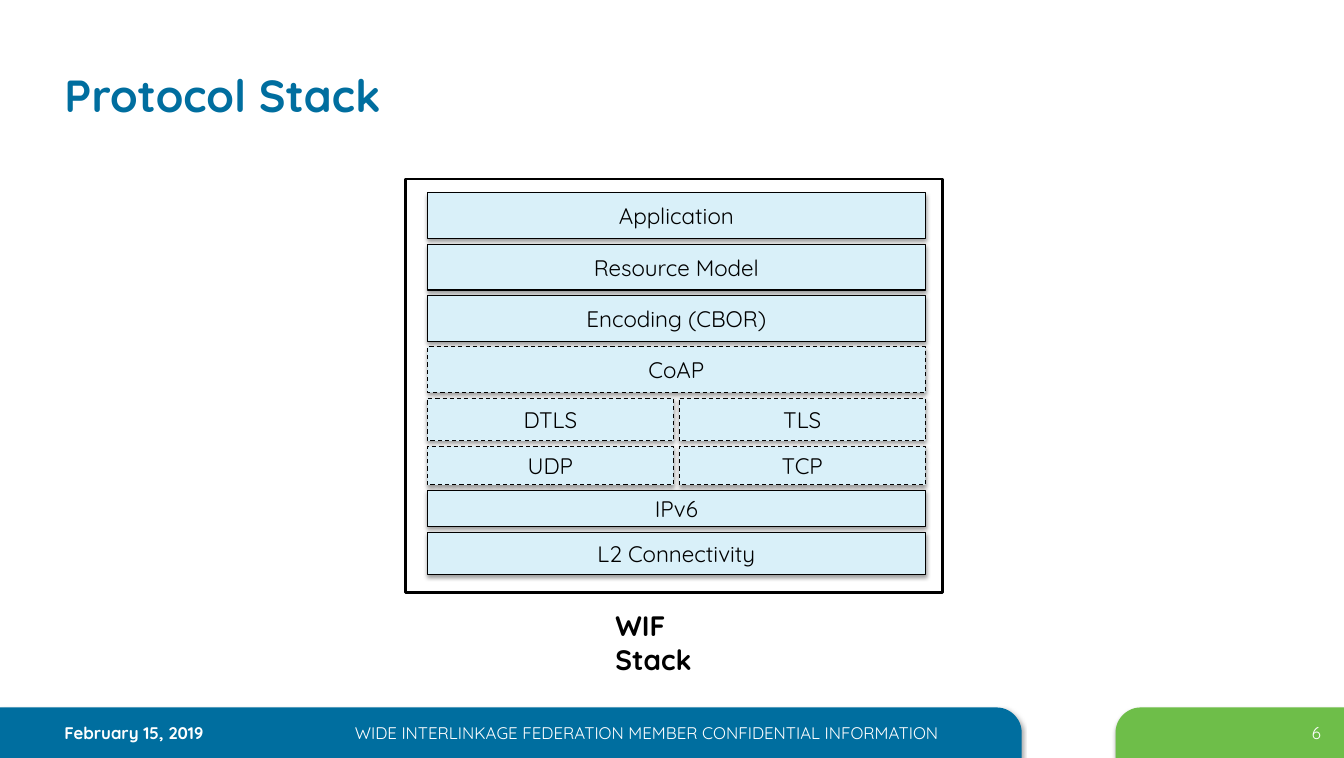
from collections import namedtuple
from dataclasses import dataclass

from lxml import etree
from pptx import Presentation
from pptx.dml.color import RGBColor
from pptx.enum.dml import MSO_LINE
from pptx.enum.shapes import MSO_SHAPE
from pptx.enum.text import MSO_ANCHOR, PP_ALIGN
from pptx.oxml.ns import qn
from pptx.util import Cm, Pt

RECT, ROUND_CORNER = MSO_SHAPE.RECTANGLE, MSO_SHAPE.ROUND_1_RECTANGLE
LEFT, CENTER, RIGHT = PP_ALIGN.LEFT, PP_ALIGN.CENTER, PP_ALIGN.RIGHT
TOP, MIDDLE, BOTTOM = MSO_ANCHOR.TOP, MSO_ANCHOR.MIDDLE, MSO_ANCHOR.BOTTOM
DASH = MSO_LINE.DASH

Box = namedtuple("Box", "left top width height")
Shadow = namedtuple("Shadow", "opacity distance")


@dataclass(frozen=True)
class Theme:
    font: str = "Quicksand"
    blue: str = "006E9F"
    green: str = "6EBE49"
    pale: str = "D9F0F9"
    black: str = "000000"
    white: str = "FFFFFF"
    title_size: int = 32
    caption_size: int = 20
    layer_size: int = 16
    footer_size: int = 12


THEME = Theme()
LAYER_SHADOW = Shadow(38, 1.6)
FOOTER_SHADOW = Shadow(35, 1.8)
WIDE_INSETS = (0.33, 0.18)
PLAIN_INSETS = (0.25, 0.13)

LAYERS = [
    (1.15, ["Application"], False),
    (1.15, ["Resource Model"], False),
    (1.15, ["Encoding (CBOR)"], False),
    (1.15, ["CoAP"], True),
    (1.07, ["DTLS", "TLS"], True),
    (0.97, ["UDP", "TCP"], True),
    (0.91, ["IPv6"], False),
    (1.07, ["L2 Connectivity"], False),
]
LAYER_GAP = 0.14


def place(box):
    return [Cm(length) for length in box]


def write(shape, text, size, color=THEME.black, bold=False, align=LEFT,
          anchor=TOP, insets=PLAIN_INSETS):
    frame = shape.text_frame
    frame.word_wrap = True
    frame.vertical_anchor = anchor
    frame.margin_left = frame.margin_right = Cm(insets[0])
    frame.margin_top = frame.margin_bottom = Cm(insets[1])
    paragraph = frame.paragraphs[0]
    paragraph.alignment = align
    run = paragraph.add_run()
    run.text = text
    run.font.name = THEME.font
    run.font.size = Pt(size)
    run.font.bold = bold
    run.font.color.rgb = RGBColor.from_string(color)


def add_label(slide, box, text, size, **text_format):
    write(slide.shapes.add_textbox(*place(box)), text, size, **text_format)


def cast_shadow(shape, shadow):
    effects = shape._element.spPr.find(qn("a:effectLst"))
    outer = etree.SubElement(
        effects, qn("a:outerShdw"), blurRad=str(Pt(3.1)),
        dist=str(Pt(shadow.distance)), dir="5400000", rotWithShape="0")
    color = etree.SubElement(outer, qn("a:srgbClr"), val=THEME.black)
    etree.SubElement(color, qn("a:alpha"), val=str(shadow.opacity * 1000))


def add_block(slide, box, fill, kind=RECT, line_width=0, dashed=False, shadow=None):
    block = slide.shapes.add_shape(kind, *place(box))
    block.fill.solid()
    block.fill.fore_color.rgb = RGBColor.from_string(fill)
    if line_width:
        block.line.color.rgb = RGBColor.from_string(THEME.black)
        block.line.width = Pt(line_width)
        if dashed:
            block.line.dash_style = DASH
    else:
        block.line.fill.background()
    block.shadow.inherit = False
    if shadow:
        cast_shadow(block, shadow)
    return block


def add_footer(slide, box):
    date_band = Box(box.left, box.top, 25.68, box.height)
    number_band = Box(box.left + 28.04, box.top, box.width - 28.04, box.height)
    for band, fill in ((date_band, THEME.blue), (number_band, THEME.green)):
        tab = add_block(slide, band, fill, kind=ROUND_CORNER, shadow=FOOTER_SHADOW)
        tab.adjustments[0] = 0.5
    tab._element.spPr.find(qn("a:xfrm")).set("flipH", "1")

    notes = [
        (1.37, 6.45, "February 15, 2019", LEFT, True),
        (8.31, 15.9, "WIDE INTERLINKAGE FEDERATION MEMBER CONFIDENTIAL INFORMATION",
         CENTER, False),
        (30.05, 3.4, "6", RIGHT, False),
    ]
    for left, width, text, align, bold in notes:
        add_label(slide, Box(box.left + left, box.top + 0.25, width, 0.75), text,
                  THEME.footer_size, color=THEME.white, align=align, bold=bold)


def add_stack(slide, box):
    add_block(slide, box, THEME.white, line_width=2)
    left, top, full_width = box.left + 0.55, box.top + 0.35, 12.52
    for height, protocols, dashed in LAYERS:
        width = (full_width + LAYER_GAP) / len(protocols) - LAYER_GAP
        for column, protocol in enumerate(protocols):
            cell = Box(left + column * (width + LAYER_GAP), top, width, height)
            layer = add_block(slide, cell, THEME.pale, line_width=0.75,
                              dashed=dashed, shadow=LAYER_SHADOW)
            write(layer, protocol, THEME.layer_size, align=CENTER,
                  anchor=MIDDLE, insets=WIDE_INSETS)
        top += height + LAYER_GAP
    caption = Box(box.left + 4.95, box.top + box.height + 0.22, 3.6, 2.1)
    add_label(slide, caption, "WIF Stack", THEME.caption_size, bold=True,
              insets=WIDE_INSETS)


def main():
    deck = Presentation()
    deck.slide_width, deck.slide_height = Cm(33.78), Cm(19.05)
    slide = deck.slides.add_slide(deck.slide_layouts[6])
    add_footer(slide, Box(0, 17.78, 33.78, 1.27))
    add_label(slide, Box(1.37, 0.23, 28.6, 2.95), "Protocol Stack",
              THEME.title_size, color=THEME.blue, bold=True, anchor=BOTTOM)
    add_stack(slide, Box(10.19, 4.5, 13.51, 10.39))
    deck.save("out.pptx")


if __name__ == "__main__":
    main()
